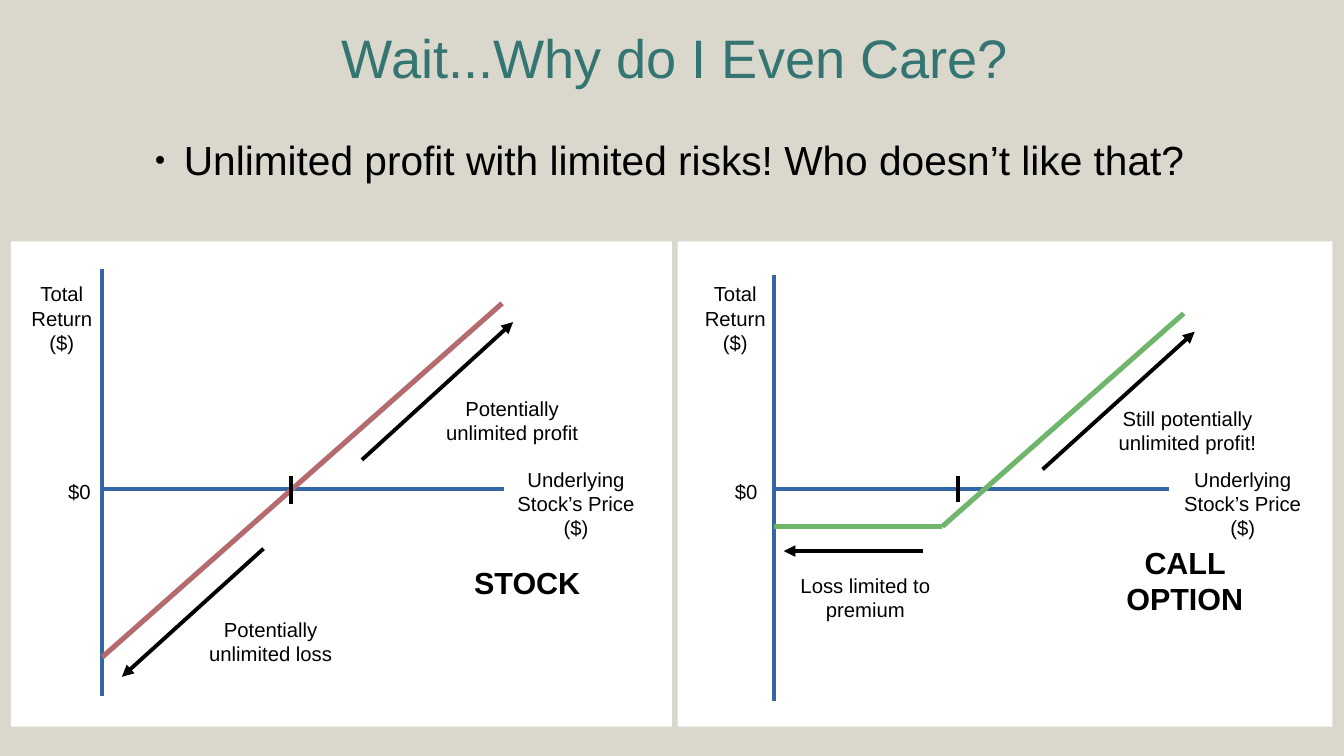
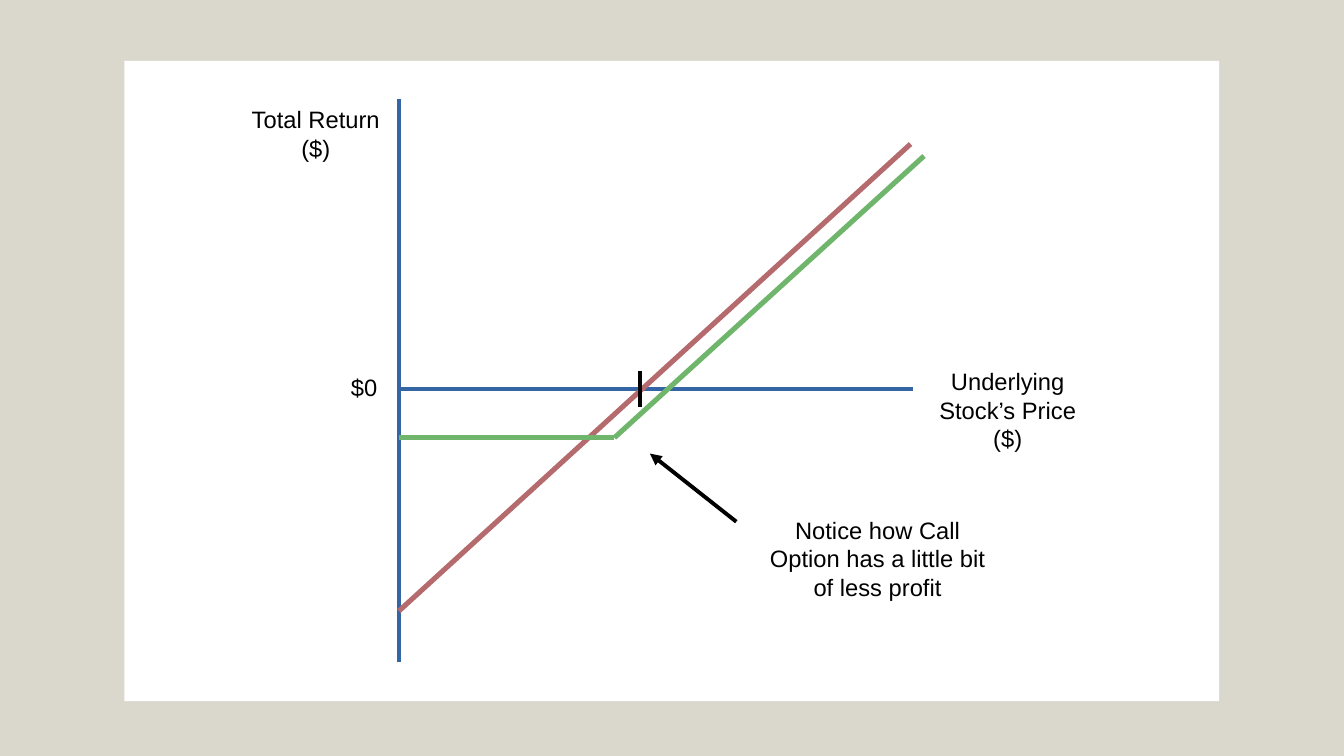
"""Build two slides comparing the payoff of a stock with that of a call option."""
import itertools
from dataclasses import dataclass

import lxml.etree
import pptx
import pptx.dml.color
import pptx.enum.shapes
import pptx.enum.text
import pptx.oxml.ns
import pptx.util

Cm = pptx.util.Cm
Pt = pptx.util.Pt
Color = pptx.dml.color.RGBColor
qn = pptx.oxml.ns.qn
LEFT = pptx.enum.text.PP_ALIGN.LEFT
CENTER = pptx.enum.text.PP_ALIGN.CENTER


@dataclass(frozen=True)
class Theme:
    font: str = "Arial"
    background: str = "DAD7CD"
    panel: str = "FFFFFF"
    title: str = "347571"
    ink: str = "000000"
    axis: str = "3465A4"
    stock: str = "B56B6D"
    call: str = "6FB56B"
    title_size: int = 32
    bullet_size: int = 24
    name_size: int = 18
    large_size: int = 14
    small_size: int = 12
    thin: float = 2.3
    thick: float = 3


theme = Theme()


def write_text(box, text, size, color=theme.ink, align=LEFT, bold=False):
    frame = box.text_frame
    frame.word_wrap = True
    para = frame.paragraphs[0]
    para.alignment = align
    span = para.add_run()
    span.text = text
    values = {"name": theme.font, "size": Pt(size), "bold": bold}
    for key, value in values.items():
        setattr(span.font, key, value)
    span.font.color.rgb = Color.from_string(color)
    return para


def draw_line(page, points, color, width=theme.thin, arrow=False):
    for start, end in itertools.pairwise(points):
        line = page.shapes.add_connector(
            pptx.enum.shapes.MSO_CONNECTOR.STRAIGHT, *map(Cm, start + end)
        )
        line.line.color.rgb = Color.from_string(color)
        line.line.width = Pt(width)
        if arrow:
            outline = line.line._get_or_add_ln()
            lxml.etree.SubElement(outline, qn("a:tailEnd"), type="triangle")
        lxml.etree.SubElement(line._element.spPr, qn("a:effectLst"))


deck = pptx.Presentation()
deck.slide_width, deck.slide_height = Cm(28), Cm(15.75)
backdrop = deck.slide_master.background.fill
backdrop.solid()
backdrop.fore_color.rgb = Color.from_string(theme.background)

care_page = deck.slides.add_slide(deck.slide_layouts[5])
overlay_page = deck.slides.add_slide(deck.slide_layouts[6])

title = care_page.shapes.title
title_format = {"left": 7.09, "top": -0.56, "width": 13.97, "height": 3.48}
for key, value in title_format.items():
    setattr(title, key, Cm(value))
for side in ("left", "top", "right", "bottom"):
    setattr(title.text_frame, f"margin_{side}", 0)
title.text_frame.vertical_anchor = pptx.enum.text.MSO_ANCHOR.MIDDLE
write_text(title, "Wait...Why do I Even Care?", theme.title_size, theme.title, CENTER)

box = care_page.shapes.add_textbox(Cm(1.78), Cm(2.69), Cm(23.27), Cm(1.19))
para = write_text(
    box, "Unlimited profit with limited risks! Who doesn’t like that?", theme.bullet_size
)
properties = para._p.get_or_add_pPr()
properties.set("marL", str(Cm(1.8)))
properties.set("indent", str(Cm(-0.61)))
bullet_color = lxml.etree.SubElement(properties, qn("a:buClr"))
lxml.etree.SubElement(bullet_color, qn("a:srgbClr"), val=theme.ink)
lxml.etree.SubElement(properties, qn("a:buSzPct"), val="45000")
lxml.etree.SubElement(properties, qn("a:buFont"), typeface=theme.font)
lxml.etree.SubElement(properties, qn("a:buChar"), char="●")

charts = [
    {
        "page": care_page,
        "panel": (0.23, 5.03, 13.77, 10.11),
        "origin": (2.13, 10.19),
        "vertical": (5.61, 14.5),
        "right": 10.49,
        "payoffs": [(theme.stock, [(2.13, 13.69), (10.46, 6.32)])],
        "tick": (6.07, 9.91, 10.49),
        "arrows": [[(7.54, 9.58), (10.69, 6.71)], [(5.49, 11.43), (2.54, 14.1)]],
        "size": theme.small_size,
        "zero": (1.17, 9.86, 1.1, 0.74),
        "name": ("STOCK", (9.63, 11.63, 4.45, 1.83), LEFT),
        "labels": [
            ("Total Return ($)", (0.3, 5.74, 1.98, 2.62)),
            ("Underlying Stock’s Price ($)", (10.49, 9.6, 3.02, 2.62)),
            ("Potentially unlimited profit", (8.74, 8.13, 3.86, 2.39)),
            ("Potentially unlimited loss", (3.71, 12.73, 3.86, 2.39)),
        ],
    },
    {
        "page": care_page,
        "panel": (14.12, 5.03, 13.64, 10.11),
        "origin": (16.13, 10.19),
        "vertical": (5.72, 14.61),
        "right": 24.36,
        "payoffs": [(theme.call, [(16.13, 10.97), (19.63, 10.97), (24.66, 6.53)])],
        "tick": (19.96, 9.91, 10.46),
        "arrows": [[(19.23, 11.48), (16.33, 11.48)], [(21.72, 9.78), (24.89, 6.91)]],
        "size": theme.small_size,
        "zero": (15.06, 9.86, 1.1, 0.74),
        "name": ("CALL OPTION", (22.78, 11.2, 3.81, 2.59), CENTER),
        "labels": [
            ("Total Return ($)", (14.33, 5.74, 1.98, 2.62)),
            ("Underlying Stock’s Price ($)", (24.38, 9.6, 3.02, 2.62)),
            ("Still potentially unlimited profit!", (22.81, 8.33, 3.86, 2.39)),
            ("Loss limited to premium", (16.1, 11.81, 3.86, 2.39)),
        ],
    },
    {
        "page": overlay_page,
        "panel": (2.59, 1.27, 22.81, 13.34),
        "origin": (8.31, 8.1),
        "vertical": (2.06, 13.79),
        "right": 19.02,
        "payoffs": [
            (theme.stock, [(8.31, 12.73), (18.97, 3)]),
            (theme.call, [(8.31, 9.12), (12.8, 9.12), (19.25, 3.25)]),
        ],
        "tick": (13.34, 7.72, 8.48),
        "arrows": [[(15.34, 10.87), (13.54, 9.45)]],
        "size": theme.large_size,
        "zero": (7.06, 7.65, 1.24, 0.99),
        "name": None,
        "labels": [
            ("Total Return ($)", (4.88, 2.06, 3.4, 3.45)),
            ("Underlying Stock’s Price ($)", (19.13, 7.52, 3.73, 3.45)),
            (
                "Notice how Call Option has a little bit of less profit",
                (15.62, 10.62, 5.33, 1.91),
            ),
        ],
    },
]

for chart in charts:
    page = chart["page"]
    panel = page.shapes.add_shape(
        pptx.enum.shapes.MSO_SHAPE.RECTANGLE, *map(Cm, chart["panel"])
    )
    panel.shadow.inherit = False
    panel.fill.solid()
    panel.fill.fore_color.rgb = Color.from_string(theme.panel)
    panel.line.fill.background()

    left, zero = chart["origin"]
    top, bottom = chart["vertical"]
    draw_line(page, [(left, top), (left, bottom)], theme.axis)
    draw_line(page, [(chart["right"], zero), (left, zero)], theme.axis)
    for color, points in chart["payoffs"]:
        draw_line(page, points, color, theme.thick)
    across, upper, lower = chart["tick"]
    draw_line(page, [(across, lower), (across, upper)], theme.ink)
    for points in chart["arrows"]:
        draw_line(page, points, theme.ink, arrow=True)

    texts = [("$0", chart["zero"], chart["size"], LEFT, False)]
    texts += [(text, place, chart["size"], CENTER, False) for text, place in chart["labels"]]
    if chart["name"]:
        text, place, align = chart["name"]
        texts.append((text, place, theme.name_size, align, True))
    for text, place, size, align, bold in texts:
        box = page.shapes.add_textbox(*map(Cm, place))
        write_text(box, text, size, align=align, bold=bold)

deck.save("out.pptx")
